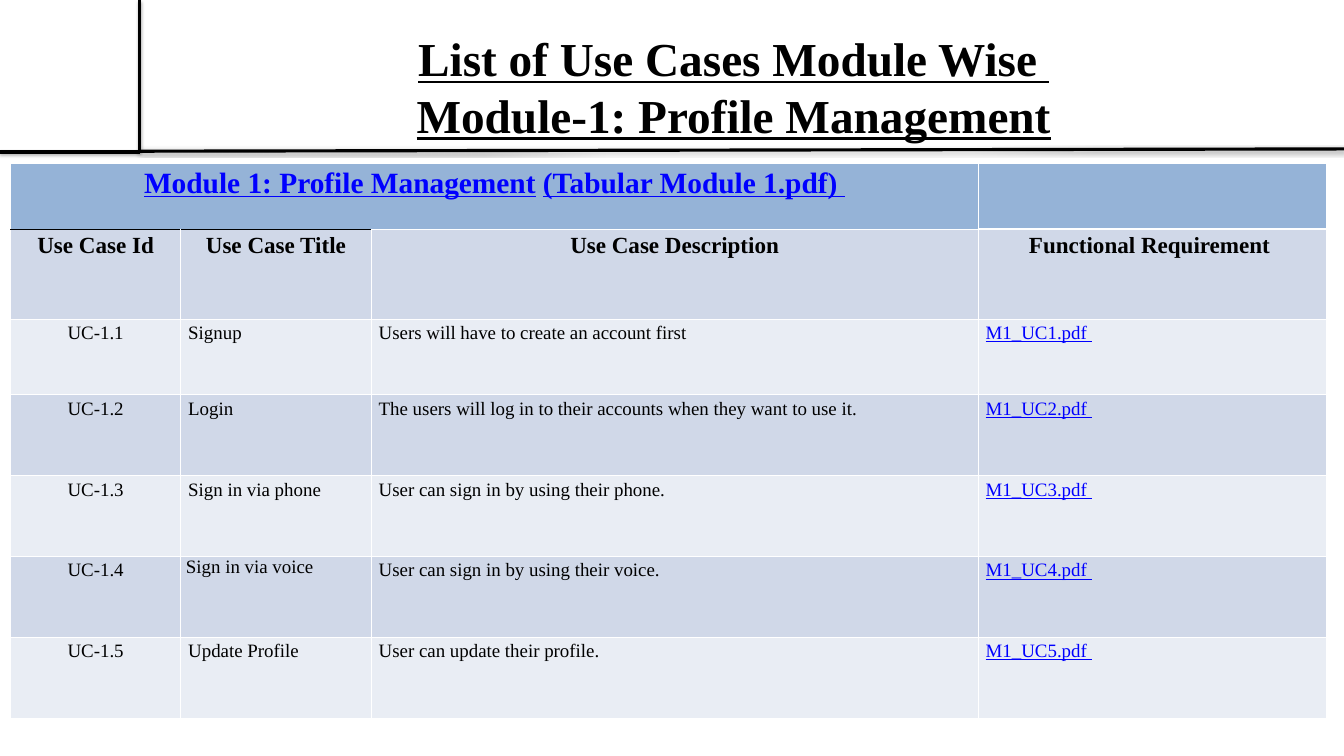
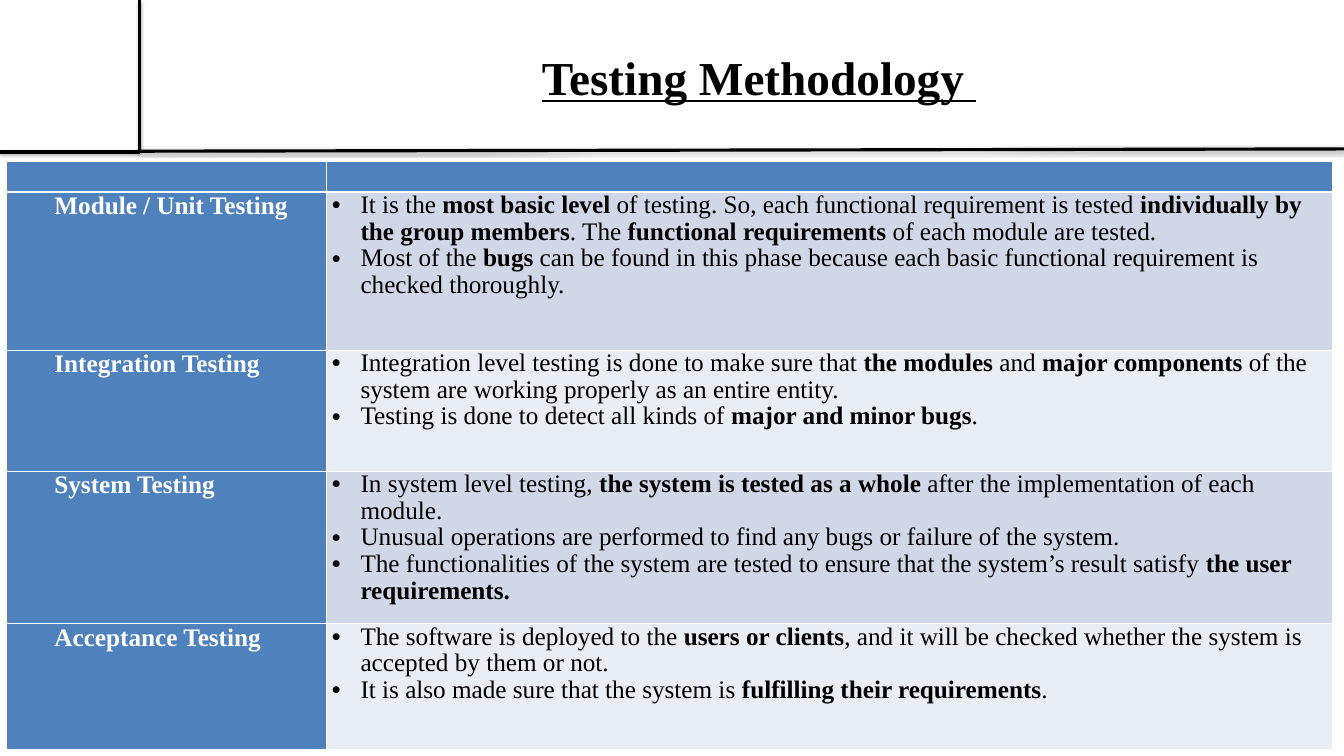
from lxml import etree
from pptx import Presentation
from pptx.dml.color import RGBColor
from pptx.enum.shapes import MSO_CONNECTOR as Connector
from pptx.enum.text import MSO_ANCHOR as Anchor, PP_ALIGN as Align
from pptx.oxml import parse_xml
from pptx.oxml.ns import nsdecls, qn
from pptx.util import Inches, Pt

BLACK = RGBColor(0x00, 0x00, 0x00)
WHITE = RGBColor(0xFF, 0xFF, 0xFF)
LINK = RGBColor(0x00, 0x00, 0xFF)
MODULE_BAND = RGBColor(0x95, 0xB3, 0xD7)
HEAD_BLUE = RGBColor(0x4F, 0x81, 0xBD)
BANDS = (RGBColor(0xD0, 0xD8, 0xE8), RGBColor(0xE9, 0xED, 0xF4))
FONT = "Times New Roman"
THIN, THICK = 1, 3

USE_CASE_HEADS = ["Use Case Id", "Use Case Title", "Use Case Description",
                  "Functional Requirement "]
USE_CASES = [
    ("Signup", "Users will have to create an account first"),
    ("Login", "The users will log in to their accounts when they want to use it. "),
    ("Sign in via phone", "User can sign in by using their phone."),
    ("Sign in via voice", "User can sign in by using their voice."),
    ("Update Profile", "User can update their profile."),
]

# Words between asterisks are bold
TESTING_LEVELS = [
    ("Module / Unit Testing", [
        "It is the *most basic level *of testing. So, each functional requirement is tested "
        "*individually by the group members*. The *functional requirements *of each module "
        "are tested.",
        "Most of the *bugs* can be found in this phase because each basic functional "
        "requirement is checked thoroughly."]),
    ("Integration Testing", [
        "Integration level testing is done to make sure that *the modules *and "
        "*major components *of the system are working properly as an entire entity.",
        "Testing is done to detect all kinds of *major and minor bugs*."]),
    ("System Testing", [
        "In system level testing, *the system is tested as a whole* after the "
        "implementation of each module.",
        "Unusual operations are performed to find any bugs or failure of the system.",
        "The functionalities of the system are tested to ensure that the system’s result "
        "satisfy *the user requirements.*"]),
    ("Acceptance Testing", [
        "The software is deployed to the *users or clients*, and it will be checked whether "
        "the system is accepted by them or not.",
        "It is also made sure that the system is *fulfilling their requirements*."]),
]


# Text helpers
def add_span(para, text, size, color=BLACK, bold=False, underline=False):
    span = para.add_run()
    span.text = text
    font = span.font
    font.name, font.size, font.bold, font.underline = FONT, Pt(size), bold, underline
    font.color.rgb = color


def set_indent(para, left, first=0, bullet=None):
    props = para._p.get_or_add_pPr()
    props.set("marL", str(Inches(left)))
    props.set("indent", str(Inches(first)))
    if bullet:
        etree.SubElement(props, qn("a:buFont")).set("typeface", "Arial")
        etree.SubElement(props, qn("a:buChar")).set("char", bullet)


# Frame lines and title shared by the slides
def add_rule(page, start, end):
    x1, y1, x2, y2 = (Inches(value) for value in start + end)
    rule = page.shapes.add_connector(Connector.STRAIGHT, x1, y1, x2, y2)
    rule.line.color.rgb = BLACK
    rule.line.width = Pt(3)
    rule._element.spPr.append(parse_xml(
        f'<a:effectLst {nsdecls("a")}><a:outerShdw blurRad="{Pt(3.1)}" dist="{Pt(1.8)}" '
        'dir="5400000" rotWithShape="0"><a:srgbClr val="000000"><a:alpha val="35000"/>'
        '</a:srgbClr></a:outerShdw></a:effectLst>'))


def add_frame(page):
    add_rule(page, (1.85, 0), (1.85, 2.01))
    add_rule(page, (0, 2.01), (1.85, 2.01))
    add_rule(page, (1.85, 2), (17.78, 1.97))


def add_title(page, box, lines):
    frame = page.shapes.add_textbox(*(Inches(value) for value in box)).text_frame
    frame.word_wrap = True
    frame.vertical_anchor = Anchor.TOP
    frame.margin_left = frame.margin_right = Inches(0.11)
    frame.margin_top = frame.margin_bottom = Inches(0.06)
    para = frame.paragraphs[0]
    para.alignment = Align.CENTER
    for index, line in enumerate(lines):
        if index:
            para.add_line_break()
        add_span(para, line, 45, bold=True, underline=True)


# Table helpers
def add_grid(page, left, top, widths, heights):
    frame = page.shapes.add_table(len(heights), len(widths), Inches(left), Inches(top),
                                  Inches(sum(widths)), Inches(sum(heights)))
    table = frame.table
    table.first_row = table.horz_banding = False
    for column, width in zip(table.columns, widths):
        column.width = Inches(width)
    for row, height in zip(table.rows, heights):
        row.height = Inches(height)
    return table


def style_cell(cell, fill, top=(WHITE, THIN), bottom=(WHITE, THIN)):
    cell.fill.solid()
    cell.fill.fore_color.rgb = fill
    props = cell._tc.get_or_add_tcPr()
    side = (WHITE, THIN)
    edges = (("lnL", side), ("lnR", side), ("lnT", top), ("lnB", bottom))
    for index, (tag, (color, width)) in enumerate(edges):
        props.insert(index, parse_xml(
            f'<a:{tag} {nsdecls("a")} w="{Pt(width)}"><a:solidFill>'
            f'<a:srgbClr val="{color}"/></a:solidFill></a:{tag}>'))


def tighten(cell):
    cell.margin_left = cell.margin_right = Inches(0.07)
    cell.margin_top = cell.margin_bottom = 0


def add_use_case_table(page, left, top):
    table = add_grid(page, left, top, [2.25, 2.52, 8.03, 4.61],
                     [0.87, 1.19, 1] + [1.07] * 4)

    # Module band, with a black edge under the first two columns
    edges = [(BLACK, THIN)] * 2 + [(WHITE, THIN), (WHITE, THICK)]
    for col, edge in enumerate(edges):
        style_cell(table.cell(0, col), MODULE_BAND, bottom=edge)
    table.cell(0, 0).merge(table.cell(0, 2))
    para = table.cell(0, 0).text_frame.paragraphs[0]
    para.alignment = Align.CENTER
    add_span(para, "Module 1: Profile Management", 28, LINK, True, True)
    add_span(para, " ", 28, bold=True)
    add_span(para, "(Tabular Module 1.pdf) ", 28, LINK, True, True)

    # Column heads
    for col, (head, edge) in enumerate(zip(USE_CASE_HEADS, edges)):
        cell = table.cell(1, col)
        style_cell(cell, BANDS[0], top=edge)
        para = cell.text_frame.paragraphs[0]
        para.alignment = Align.CENTER
        add_span(para, head, 22, bold=True)

    # Use cases
    aligns = [Align.CENTER, Align.LEFT, Align.JUSTIFY, Align.JUSTIFY]
    for number, (title, description) in enumerate(USE_CASES, 1):
        texts = [f"UC-1.{number}", title, description, f"M1_UC{number}.pdf "]
        for col, (text, align) in enumerate(zip(texts, aligns)):
            cell = table.cell(number + 1, col)
            style_cell(cell, BANDS[number % 2])
            para = cell.text_frame.paragraphs[0]
            para.alignment = align
            is_link = col == 3
            add_span(para, text, 18, LINK if is_link else BLACK, underline=is_link)
    tighten(table.cell(5, 1))


def add_testing_table(page, left, top):
    table = add_grid(page, left, top, [4.24, 13.31], [0.4, 2.09, 1.6, 2.02, 1.67])
    for col in range(2):
        style_cell(table.cell(0, col), HEAD_BLUE, bottom=(WHITE, THICK))

    for row, (level, points) in enumerate(TESTING_LEVELS, 1):
        edge = (WHITE, THICK if row == 1 else THIN)
        name_cell, points_cell = table.cell(row, 0), table.cell(row, 1)
        style_cell(name_cell, HEAD_BLUE, top=edge)
        style_cell(points_cell, BANDS[(row - 1) % 2], top=edge)
        tighten(name_cell)
        tighten(points_cell)

        # Level name
        para = name_cell.text_frame.paragraphs[0]
        set_indent(para, 0.57)
        add_span(para, level, 24, WHITE, bold=True)

        # Bulleted points
        frame = points_cell.text_frame
        for index, point in enumerate(points):
            para = frame.add_paragraph() if index else frame.paragraphs[0]
            para.line_spacing = 0.96
            set_indent(para, 0.38, -0.38, "•")
            for part, text in enumerate(point.split("*")):
                if text:
                    add_span(para, text, 24, bold=part % 2 == 1)


# Slides
def build_use_cases(page):
    add_frame(page)
    add_title(page, (2.94, 0.33, 13.53, 1.25),
              ["List of Use Cases Module Wise ", "Module-1: Profile Management"])
    add_use_case_table(page, 0.14, 2.16)


def build_testing(page):
    add_frame(page)
    add_title(page, (2.69, 0.58, 14.7, 1.25), ["Testing Methodology "])
    add_testing_table(page, 0.08, 2.14)


def main():
    deck = Presentation()
    deck.slide_width, deck.slide_height = Inches(17.78), Inches(10)
    for build in (build_use_cases, build_testing):
        build(deck.slides.add_slide(deck.slide_layouts[6]))
    deck.save("out.pptx")


if __name__ == "__main__":
    main()
